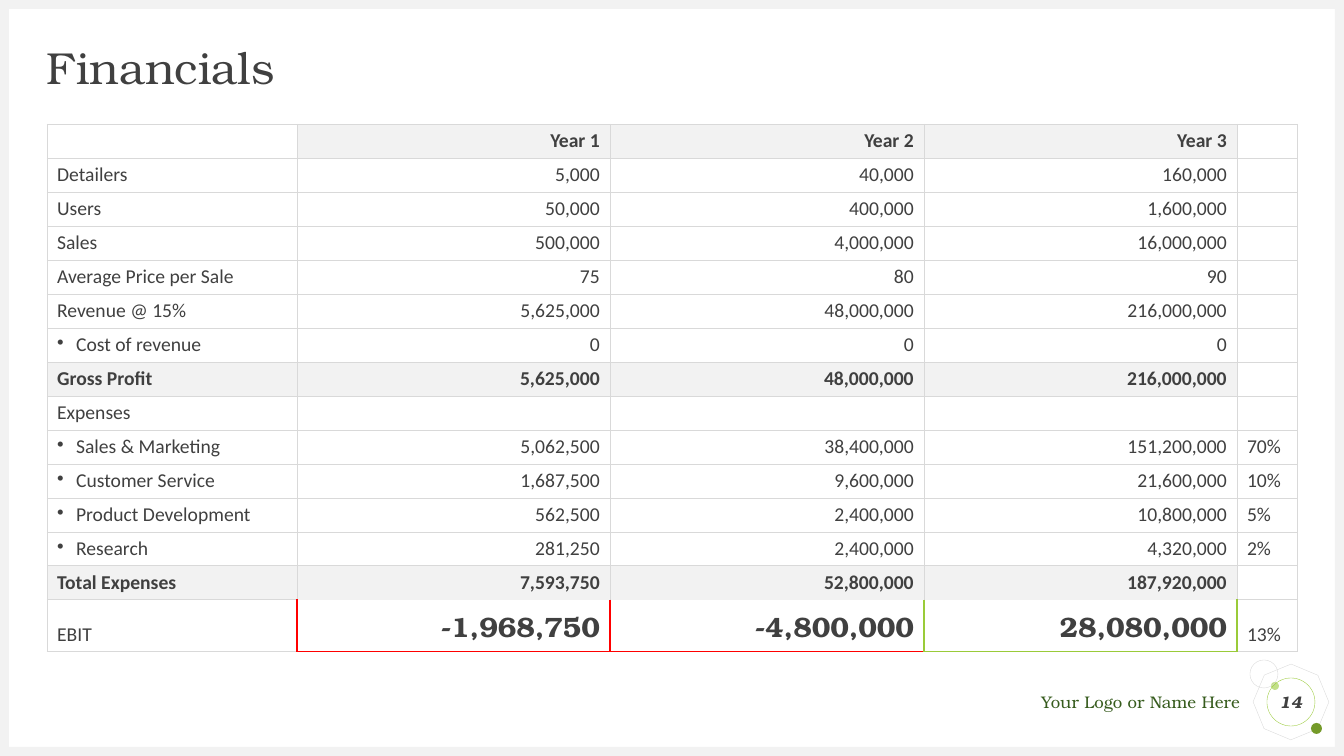
from lxml.etree import SubElement
from pptx import Presentation
from pptx.dml.color import RGBColor
from pptx.enum.shapes import MSO_SHAPE
from pptx.enum.text import MSO_ANCHOR, PP_ALIGN
from pptx.oxml.ns import qn
from pptx.util import Pt

SCALE = 914400 / 100.8  # EMU in one px
WIDE, HIGH, EDGE = 1344, 756, 9
SERIF, SANS = "TeX Gyre Bonum", "Calibri"
COLORS = {
    "ink": "404040", "white": "FFFFFF", "band": "F2F2F2", "grid": "D9D9D9",
    "loss": "FF0000", "gain": "9ACB39", "leaf": "749A29", "pale": "C2E088",
    "brand": "375C1E",
}
ALIGN = {"l": PP_ALIGN.LEFT, "c": PP_ALIGN.CENTER, "r": PP_ALIGN.RIGHT}

WIDTHS = [250, 313, 314, 313, 60]
ROW_HIGH, LAST_HIGH = 34, 52
BULLET = "• "
ROWS = [
    ["", "Year 1", "Year 2", "Year 3", ""],
    ["Detailers", "5,000", "40,000", "160,000", ""],
    ["Users", "50,000", "400,000", "1,600,000", ""],
    ["Sales", "500,000", "4,000,000", "16,000,000", ""],
    ["Average Price per Sale", "75", "80", "90", ""],
    ["Revenue @ 15%", "5,625,000", "48,000,000", "216,000,000", ""],
    ["• Cost of revenue", "0", "0", "0", ""],
    ["Gross Profit", "5,625,000", "48,000,000", "216,000,000", ""],
    ["Expenses", "", "", "", ""],
    ["• Sales & Marketing", "5,062,500", "38,400,000", "151,200,000", "70%"],
    ["• Customer Service", "1,687,500", "9,600,000", "21,600,000", "10%"],
    ["• Product Development", "562,500", "2,400,000", "10,800,000", "5%"],
    ["• Research", "281,250", "2,400,000", "4,320,000", "2%"],
    ["Total Expenses", "7,593,750", "52,800,000", "187,920,000", ""],
    ["EBIT", "-1,968,750", "-4,800,000", "28,080,000", "13%"],
]
BANDS = {"", "Gross Profit", "Total Expenses"}  # labels of shaded rows
LAST = len(ROWS) - 1
# Left, right, top and bottom edges of the EBIT cells
RESULT = [
    ("grid", "loss", "grid", "grid"),
    ("loss", "loss", None, "loss"),
    ("loss", "gain", None, "loss"),
    ("gain", "gain", None, "gain"),
    ("gain", "grid", "grid", "grid"),
]


def px(num):
    return round(num * SCALE)


def rgb(name):
    return RGBColor.from_string(COLORS[name])


def write(frame, text, size=14, font=SANS, color="ink", bold=False,
          slant=False, align="l", space=None):
    """Put one formatted line in a text frame."""
    line = frame.paragraphs[0]
    line.alignment = ALIGN[align]
    line.line_spacing = space
    if not text:
        SubElement(line._p, qn("a:endParaRPr"), sz=str(size * 100))
        return
    if text.startswith(BULLET):
        props = line._p.get_or_add_pPr()
        props.set("marL", str(px(19)))
        props.set("indent", str(px(-19)))
        SubElement(props, qn("a:buChar"), char=BULLET.strip())
        text = text.removeprefix(BULLET)
    run = line.add_run()
    run.text = text
    run.font.size, run.font.name = Pt(size), font
    run.font.bold, run.font.italic = bold, slant
    run.font.color.rgb = rgb(color)


def trim(frame):
    """Remove the insets and centre the text on its height."""
    frame.margin_left = frame.margin_right = 0
    frame.margin_top = frame.margin_bottom = 0
    frame.vertical_anchor = MSO_ANCHOR.MIDDLE
    frame.word_wrap = True
    return frame


def label(slide, text, box, **style):
    frame = slide.shapes.add_textbox(*map(px, box)).text_frame
    write(trim(frame), text, **style)


def shape(slide, kind, box, fill=None, line=None, turn=0):
    item = slide.shapes.add_shape(kind, *map(px, box))
    item.shadow.inherit = False
    item.rotation = turn
    if fill:
        item.fill.solid()
        item.fill.fore_color.rgb = rgb(fill)
    else:
        item.fill.background()
    if line:
        item.line.color.rgb = rgb(line)
        item.line.width = Pt(0.25)
    else:
        item.line.fill.background()
    return item


def border(cell, edges):
    """Draw the left, right, top and bottom edge of a cell."""
    props = cell._tc.get_or_add_tcPr()
    for side, color in zip("LRTB", edges):
        width = Pt(0.25) if color == "grid" else Pt(1)
        line = SubElement(props, qn(f"a:ln{side}"), w=str(int(width)))
        if color:
            fill = SubElement(line, qn("a:solidFill"))
            SubElement(fill, qn("a:srgbClr"), val=COLORS[color])
        else:
            SubElement(line, qn("a:noFill"))


def fill_cell(cell, text, row, col):
    first, value = row == 0, 1 <= col <= 3
    band = ROWS[row][0] in BANDS and col < 4 and not (first and col == 0)
    style = {"align": "r" if value else "l", "bold": band}
    edges = ["grid"] * 4
    if row == LAST:
        edges = RESULT[col]
        if value:
            style.update(size=20, font=SERIF, bold=True)
    elif row == LAST - 1 and value:
        edges[3] = None
    border(cell, edges)
    cell.fill.solid()
    cell.fill.fore_color.rgb = rgb("band" if band else "white")
    cell.vertical_anchor = MSO_ANCHOR.BOTTOM
    write(cell.text_frame, text, **style)


def add_grid(slide, left, top):
    heights = [ROW_HIGH] * LAST + [LAST_HIGH]
    box = (left, top, sum(WIDTHS), sum(heights))
    grid = slide.shapes.add_table(
        len(ROWS), len(WIDTHS), *map(px, box)).table
    grid.first_row = grid.horz_banding = False
    for col, width in zip(grid.columns, WIDTHS):
        col.width = px(width)
    for row, height in zip(grid.rows, heights):
        row.height = px(height)
    for row, texts in enumerate(ROWS):
        for col, text in enumerate(texts):
            fill_cell(grid.cell(row, col), text, row, col)


def add_frame(slide):
    for box in [(0, HIGH - EDGE, WIDE, EDGE), (0, 0, WIDE, EDGE),
                (0, 0, EDGE, HIGH), (WIDE - EDGE, 0, EDGE, HIGH)]:
        shape(slide, MSO_SHAPE.RECTANGLE, box, fill="band")


def add_badge(slide):
    shape(slide, MSO_SHAPE.OCTAGON, (1256, 667, 70, 70),
          line="grid", turn=22.7)
    shape(slide, MSO_SHAPE.OVAL, (1271, 682, 8, 8), fill="pale")
    shape(slide, MSO_SHAPE.OVAL, (1311, 723, 11, 11), fill="leaf")
    shape(slide, MSO_SHAPE.OVAL, (1250, 660, 28, 28), line="grid")
    ring = shape(slide, MSO_SHAPE.OVAL, (1267, 678, 48, 48), line="gain")
    write(trim(ring.text_frame), "14", size=12, font=SERIF, bold=True,
          slant=True, align="c")


def main():
    deck = Presentation()
    deck.slide_width, deck.slide_height = px(WIDE), px(HIGH)
    slide = deck.slides.add_slide(deck.slide_layouts[6])

    # Border of the page
    add_frame(slide)

    # Heading and figures
    label(slide, "Financials", (47, 47, 1250, 47),
          size=32, font=SERIF, space=0.9)
    add_grid(slide, 47, 124)

    # Footer
    label(slide, "Your Logo or Name Here", (963, 692, 277, 20),
          size=12, font=SERIF, color="brand", align="r")
    add_badge(slide)

    deck.save("out.pptx")


if __name__ == "__main__":
    main()
